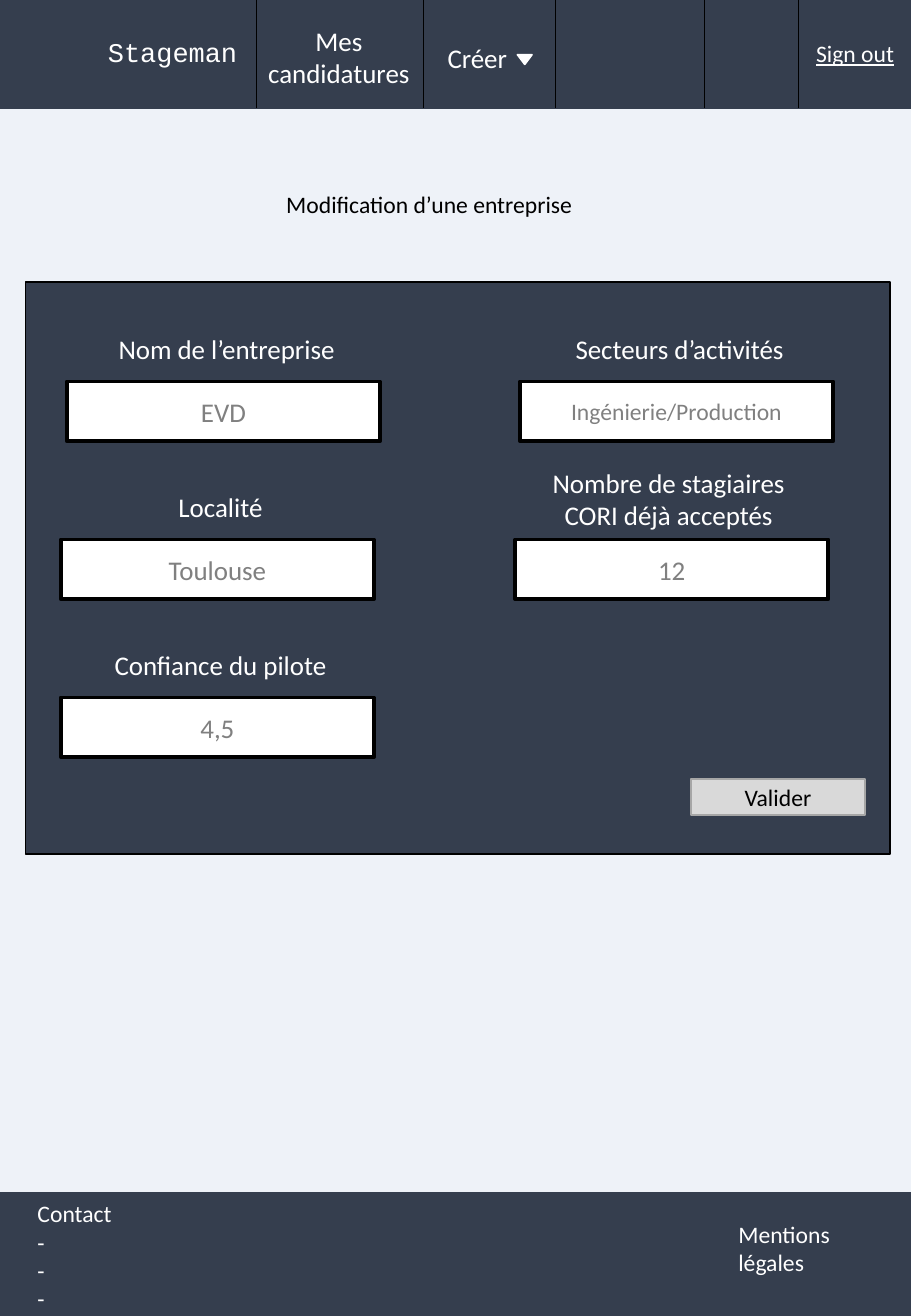
"""Build the company editing page of an internship management site."""
from dataclasses import dataclass

from lxml import etree
from pptx import Presentation
from pptx import util as u
from pptx.dml.color import RGBColor
from pptx.enum import shapes, text
from pptx.oxml.ns import qn

COLORS = {
    "page": "EEF2F8", "navy": "353E4E", "white": "FFFFFF", "black": "000000",
    "value": "808080", "button": "D9D9D9", "button_edge": "A6A6A6",
}
PAGE_WIDTH, PAGE_HEIGHT = 7.5, 10.83
FIELD_WIDTH, FIELD_HEIGHT = 2.58, 0.49
LABEL_WIDTH = 2.45
LEFT, CENTER = text.PP_ALIGN.LEFT, text.PP_ALIGN.CENTER
RECTANGLE = shapes.MSO_SHAPE.RECTANGLE


@dataclass
class Area:
    left: float
    top: float
    width: float
    height: float

    def inches(self) -> list:
        return [u.Inches(v) for v in (self.left, self.top, self.width, self.height)]


@dataclass
class Style:
    size: float = 16
    color: str = "white"
    align: text.PP_ALIGN = CENTER
    font: str = "Calibri"
    underline: bool = False


@dataclass
class Label:
    area: Area
    lines: list[str]
    style: Style


@dataclass
class Field:
    left: float
    top: float
    label: str
    value: str
    value_size: float = 16
    label_shift: float = 0.09
    label_rise: float = 0.45
    label_height: float = 0.37


SMALL = Style(14, align=LEFT)

FOOTER_LABELS = [
    Label(Area(0.21, 9.82, 1.31, 1.04), ["Contact", "-", "-", "-"], SMALL),
    Label(Area(5.98, 9.99, 1.31, 0.57), ["Mentions légales"], SMALL),
]
HEADER_LABELS = [
    Label(Area(6.62, 0.27, 0.88, 0.34), ["Sign out"], Style(14, align=LEFT, underline=True)),
    Label(Area(0.79, 0.24, 1.62, 0.37), ["Stageman"], Style(align=LEFT, font="Courier New")),
    Label(Area(2.04, 0.15, 1.5, 0.64), ["Mes candidatures"], Style()),
    Label(Area(3.5, 0.29, 0.86, 0.37), ["Créer"], Style()),
]
TITLE = Label(Area(1.81, 1.51, 3.45, 0.34), ["Modification d’une entreprise"],
              Style(14, "black"))
HEADER_DIVIDERS = [2.11, 3.49, 4.57, 5.8, 6.57]
FIELDS = [
    Field(0.55, 3.14, "Nom de l’entreprise", "EVD"),
    Field(4.28, 3.14, "Secteurs d’activités", "Ingénierie/Production", value_size=14),
    Field(0.5, 4.44, "Localité", "Toulouse"),
    Field(4.24, 4.44, "Nombre de stagiaires CORI déjà acceptés", "12",
          label_shift=0.04, label_rise=0.65, label_height=0.64),
    Field(0.5, 5.74, "Confiance du pilote", "4,5"),
]


def rgb(name: str) -> RGBColor:
    return RGBColor.from_string(COLORS[name])


def write(frame, lines: list[str], style: Style) -> None:
    frame.word_wrap = True
    for index, line in enumerate(lines):
        para = frame.paragraphs[0] if index == 0 else frame.add_paragraph()
        para.alignment = style.align
        span = para.add_run()
        span.text = line
        span.font.name = style.font
        span.font.size = u.Pt(style.size)
        span.font.color.rgb = rgb(style.color)
        if style.underline:
            span.font.underline = True


def add_label(page, label: Label) -> None:
    box = page.shapes.add_textbox(*label.area.inches())
    write(box.text_frame, label.lines, label.style)


def add_box(page, area: Area, fill: str, line: str, weight: float = 1, kind=RECTANGLE):
    box = page.shapes.add_shape(kind, *area.inches())
    box.shadow.inherit = False
    box.fill.solid()
    box.fill.fore_color.rgb = rgb(fill)
    box.line.color.rgb = rgb(line)
    box.line.width = u.Pt(weight)
    return box


def add_value_box(page, area: Area, fill: str, line: str, weight: float,
                  value: str, style: Style) -> None:
    box = add_box(page, area, fill, line, weight)
    box.text_frame.vertical_anchor = text.MSO_ANCHOR.MIDDLE
    write(box.text_frame, [value], style)


def add_divider(page, left: float) -> None:
    divider = page.shapes.add_connector(
        shapes.MSO_CONNECTOR.STRAIGHT,
        u.Inches(left), u.Inches(-0.02), u.Inches(left), u.Inches(0.89))
    divider.line.color.rgb = rgb("black")
    divider.line.width = u.Pt(0.5)
    etree.SubElement(divider._element.spPr, qn("a:effectLst"))


def add_field(page, field: Field) -> None:
    add_value_box(page, Area(field.left, field.top, FIELD_WIDTH, FIELD_HEIGHT),
                  "white", "black", 2.25, field.value, Style(field.value_size, "value"))
    label_area = Area(field.left + field.label_shift, field.top - field.label_rise,
                      LABEL_WIDTH, field.label_height)
    add_label(page, Label(label_area, [field.label], Style()))


def add_footer(page) -> None:
    add_box(page, Area(0, 9.82, PAGE_WIDTH, 1.01), "navy", "navy")
    for label in FOOTER_LABELS:
        add_label(page, label)


def add_header(page) -> None:
    add_box(page, Area(0, -0.02, PAGE_WIDTH, 0.91), "navy", "navy")
    for label in HEADER_LABELS:
        add_label(page, label)
    for left in HEADER_DIVIDERS:
        add_divider(page, left)
    arrow = add_box(page, Area(4.26, 0.45, 0.12, 0.08), "white", "white",
                    kind=shapes.MSO_SHAPE.ISOSCELES_TRIANGLE)
    arrow.rotation = 180


def add_form(page) -> None:
    add_label(page, TITLE)
    add_box(page, Area(0.21, 2.32, 7.12, 4.71), "navy", "black")
    for field in FIELDS:
        add_field(page, field)
    add_value_box(page, Area(5.69, 6.41, 1.43, 0.3), "button", "button_edge", 1,
                  "Valider", Style(14, "black"))


def main() -> None:
    deck = Presentation()
    deck.slide_width = u.Inches(PAGE_WIDTH)
    deck.slide_height = u.Inches(PAGE_HEIGHT)
    page = deck.slides.add_slide(deck.slide_layouts[6])
    page.background.fill.solid()
    page.background.fill.fore_color.rgb = rgb("page")
    add_footer(page)
    add_header(page)
    add_form(page)
    deck.save("out.pptx")


if __name__ == "__main__":
    main()
